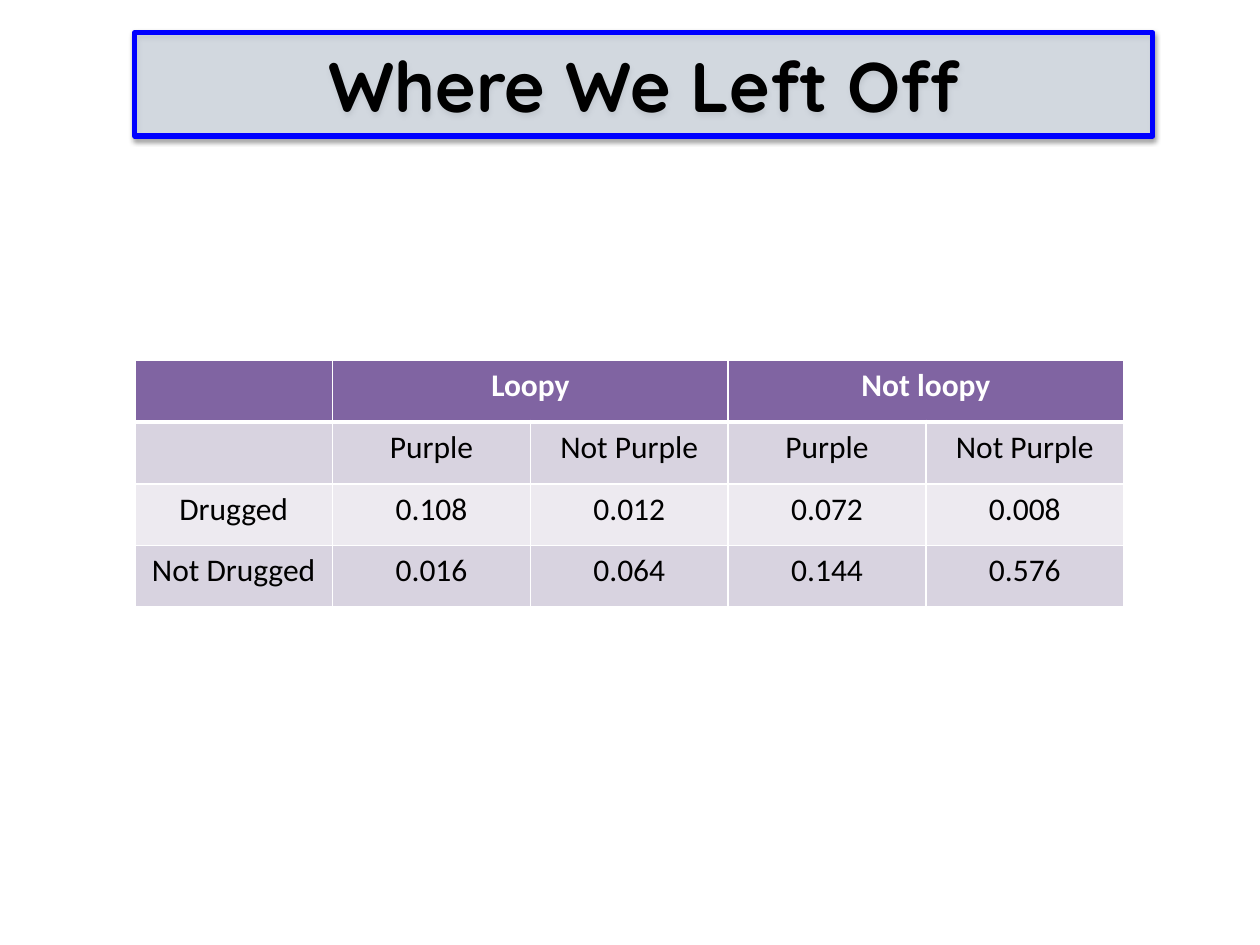
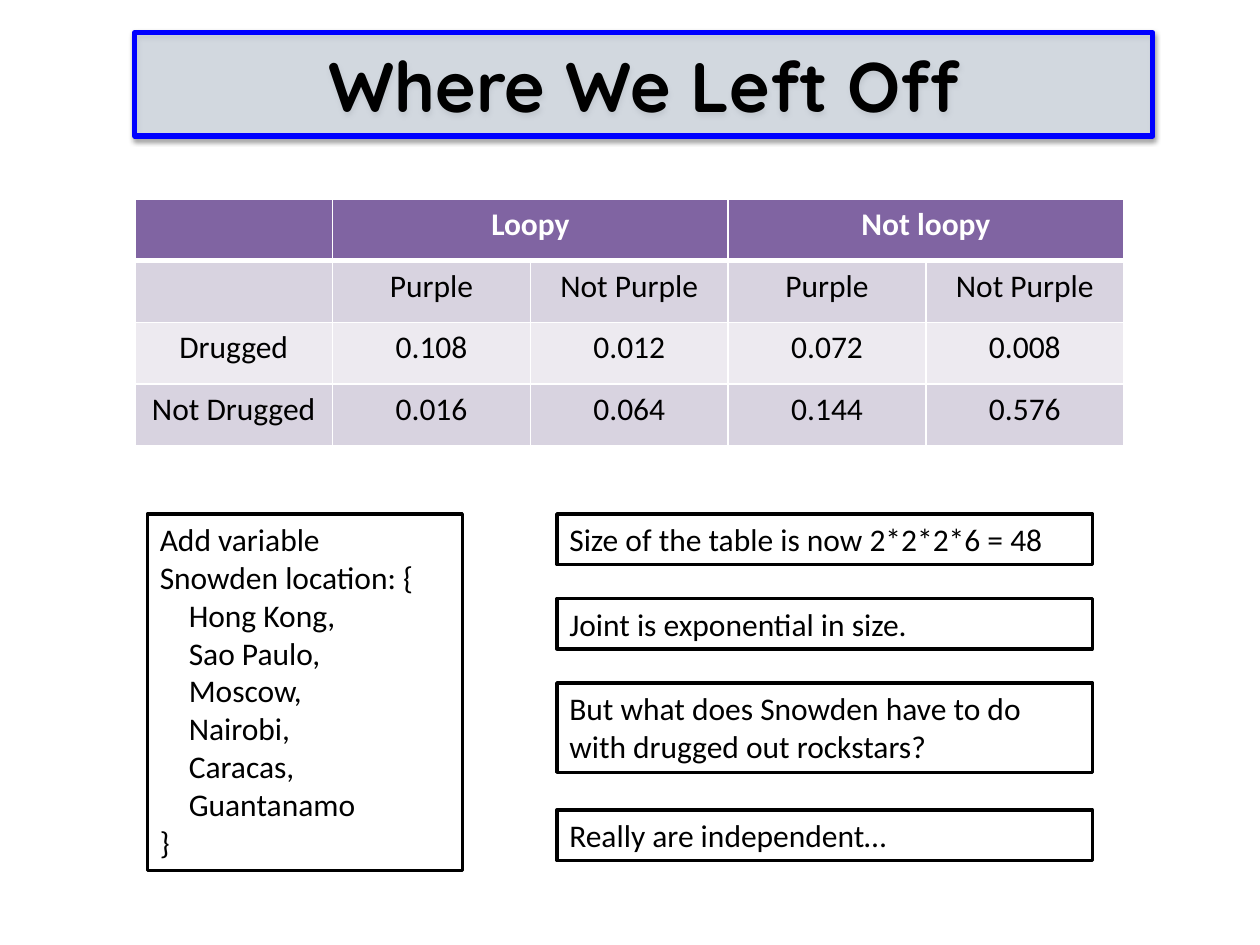
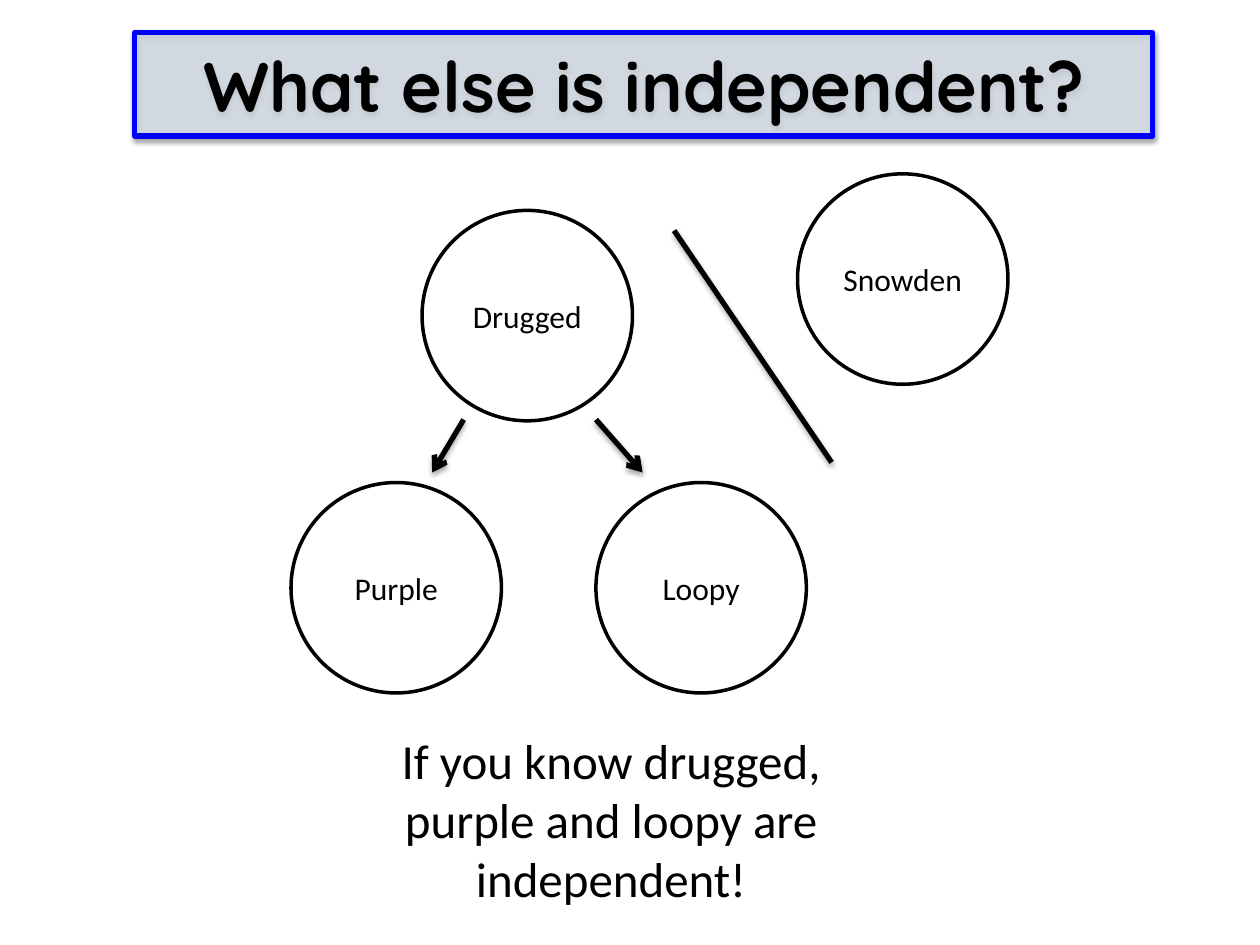
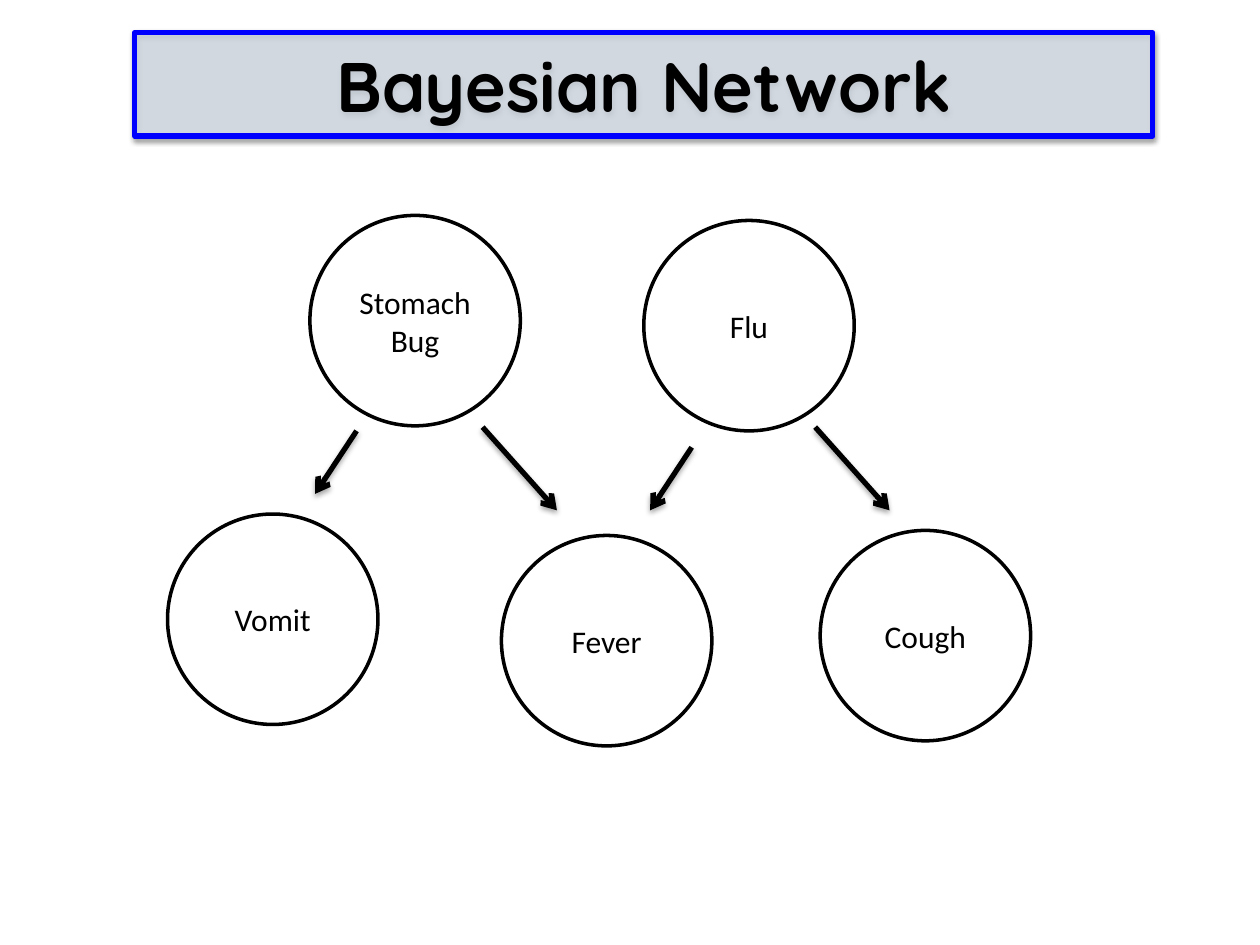
"""Builds four slides that lead from a joint probability table to Bayesian networks."""
from collections.abc import Sequence
from dataclasses import dataclass
from typing import Any, NamedTuple

from lxml.etree import SubElement
from pptx import Presentation
from pptx.dml.color import RGBColor
from pptx.enum.shapes import MSO_CONNECTOR as Connector, MSO_SHAPE as Preset
from pptx.enum.text import MSO_ANCHOR as Anchor, MSO_AUTO_SIZE as AutoSize, PP_ALIGN as Align
from pptx.oxml.ns import qn
from pptx.slide import Slide
from pptx.util import Inches, Pt


@dataclass(frozen=True)
class Theme:
    black: str = "000000"
    white: str = "FFFFFF"
    band_fill: str = "DCE6F2"
    band_line: str = "0000FF"
    header_fill: str = "8064A2"
    row_fills: tuple[str, str] = ("D8D3E0", "EDEAF0")
    title_font: str = "Quicksand"
    body_font: str = "Calibri"
    title_size: int = 40
    statement_size: int = 28
    body_size: int = 18
    heavy_line: float = 3
    outline: float = 2


class Node(NamedTuple):
    label: str
    left: float
    top: float


class Edge(NamedTuple):
    start: tuple[float, float]
    end: tuple[float, float]
    arrow: bool = True


class Note(NamedTuple):
    lines: Sequence[str]
    left: float
    top: float
    width: float
    height: float
    indented: range = range(0)


THEME = Theme()
NODE_SIZE = 1.67
COLUMN_WIDTH, ROW_HEIGHT = 1.57, 0.49
TABLE_LEFT = 1.07
LINE_INDENT = 0.23

JOINT_TABLE = [
    ["", "Loopy", "", "Not loopy", ""],
    ["", *["Purple", "Not Purple"] * 2],
    ["Drugged", "0.108", "0.012", "0.072", "0.008"],
    ["Not Drugged", "0.016", "0.064", "0.144", "0.576"],
]

LOCATION_LINES = [
    "Add variable", "Snowden location: {", "Hong Kong,", "Sao Paulo,", "Moscow,",
    "Nairobi,", "Caracas,", "Guantanamo", "}",
]
NOTES = [
    Note(LOCATION_LINES, 1.17, 4.08, 2.5, 2.83, range(2, 8)),
    Note(["Size of the table is now 2*2*2*6 = 48"], 4.42, 4.08, 4.25, 0.4),
    Note(["Joint is exponential in size."], 4.42, 4.75, 4.25, 0.4),
    Note(["But what does Snowden have to do with drugged out rockstars?"], 4.42, 5.42, 4.25, 0.71),
    Note(["Really are independent…"], 4.42, 6.43, 4.25, 0.4),
]
STATEMENT = Note(["If you know drugged, purple and loopy are independent!"], 2.76, 5.75, 4.18, 1.51)

INDEPENDENCE_NODES = [
    Node("Snowden", 6.33, 1.38), Node("Drugged", 3.35, 1.67),
    Node("Purple", 2.31, 3.83), Node("Loopy", 4.73, 3.83),
]
INDEPENDENCE_EDGES = [
    Edge((5.35, 1.83), (6.6, 3.67), arrow=False),
    Edge((3.68, 3.33), (3.43, 3.75)),
    Edge((4.73, 3.33), (5.1, 3.75)),
]
NETWORK_NODES = [
    Node("Stomach Bug", 2.46, 1.71), Node("Flu", 5.11, 1.75),
    Node("Vomit", 1.33, 4.08), Node("Fever", 3.98, 4.25), Node("Cough", 6.51, 4.21),
]
NETWORK_EDGES = [
    Edge((2.83, 3.42), (2.5, 3.92)), Edge((5.49, 3.55), (5.16, 4.05)),
    Edge((3.83, 3.39), (4.42, 4.05)), Edge((6.47, 3.39), (7.06, 4.05)),
]


def apply_format(target: Any, values: dict[str, Any]) -> None:
    for name, value in values.items():
        setattr(target, name, value)


def write_lines(frame: Any, lines: Sequence[str], align: Align = Align.LEFT, size: int = THEME.body_size,
                font: str = THEME.body_font, color: str = THEME.black, bold: bool = False) -> None:
    for index, line in enumerate(lines):
        para = frame.paragraphs[0] if index == 0 else frame.add_paragraph()
        para.alignment = align
        span = para.add_run()
        span.text = line
        apply_format(span.font, {"size": Pt(size), "name": font, "bold": bold})
        span.font.color.rgb = RGBColor.from_string(color)


def paint(target: Any, color: str) -> None:
    target.fill.solid()
    target.fill.fore_color.rgb = RGBColor.from_string(color)


def stroke(shape: Any, color: str, width: float) -> None:
    shape.line.color.rgb = RGBColor.from_string(color)
    shape.line.width = Pt(width)


def set_alpha(color: Any, percent: int) -> None:
    SubElement(color, qn("a:alpha"), val=str(percent * 1000))


def cast_shadow(shape: Any, opacity: int, distance: float) -> None:
    effects = SubElement(shape.element.spPr, qn("a:effectLst"))
    shadow = SubElement(effects, qn("a:outerShdw"), blurRad=str(Pt(3.1)), dist=str(Pt(distance)),
                        dir="5400000", rotWithShape="0")
    set_alpha(SubElement(shadow, qn("a:srgbClr"), val=THEME.black), opacity)


def add_title(page: Slide, title: str) -> None:
    band = page.shapes.add_shape(Preset.RECTANGLE, Inches(1.07), Inches(0.26), Inches(8.08), Inches(0.82))
    paint(band, THEME.band_fill)
    set_alpha(band.element.spPr.find(qn("a:solidFill")).find(qn("a:srgbClr")), 60)
    stroke(band, THEME.band_line, THEME.heavy_line)
    cast_shadow(band, 38, 1.6)
    band.text_frame.vertical_anchor = Anchor.MIDDLE
    write_lines(band.text_frame, [title], Align.CENTER, THEME.title_size, THEME.title_font, bold=True)


def border_cell(cell: Any, bottom: float) -> None:
    properties = cell._tc.get_or_add_tcPr()
    for side, width in {"lnL": 1, "lnR": 1, "lnT": 1, "lnB": bottom}.items():
        edge = SubElement(properties, qn(f"a:{side}"), w=str(Pt(width)))
        SubElement(SubElement(edge, qn("a:solidFill")), qn("a:srgbClr"), val=THEME.white)


def add_joint_table(page: Slide, top: float) -> None:
    rows, columns = len(JOINT_TABLE), len(JOINT_TABLE[0])
    table = page.shapes.add_table(rows, columns, Inches(TABLE_LEFT), Inches(top),
                                  Inches(columns * COLUMN_WIDTH), Inches(rows * ROW_HEIGHT)).table
    for column in table.columns:
        column.width = Inches(COLUMN_WIDTH)
    for index, texts in enumerate(JOINT_TABLE):
        table.rows[index].height = Inches(ROW_HEIGHT)
        header = index == 0
        for position, text in enumerate(texts):
            cell = table.cell(index, position)
            border_cell(cell, THEME.heavy_line if header else 1)
            paint(cell, THEME.header_fill if header else THEME.row_fills[(index - 1) % 2])
            if text:
                write_lines(cell.text_frame, [text], Align.CENTER,
                            color=THEME.white if header else THEME.black, bold=header)
    for start in (1, 3):
        table.cell(0, start).merge(table.cell(0, start + 1))


def add_note(page: Slide, note: Note, align: Align = Align.LEFT, size: int = THEME.body_size,
             outlined: bool = True) -> None:
    box = page.shapes.add_textbox(*map(Inches, (note.left, note.top, note.width, note.height)))
    paint(box, THEME.white)
    if outlined:
        stroke(box, THEME.black, THEME.outline)
    apply_format(box.text_frame, {"word_wrap": True, "auto_size": AutoSize.SHAPE_TO_FIT_TEXT})
    write_lines(box.text_frame, note.lines, align, size)
    for index in note.indented:
        box.text_frame.paragraphs[index]._p.get_or_add_pPr().set("marL", str(Inches(LINE_INDENT)))


def add_node(page: Slide, node: Node) -> None:
    circle = page.shapes.add_shape(Preset.OVAL, *map(Inches, (node.left, node.top, NODE_SIZE, NODE_SIZE)))
    paint(circle, THEME.white)
    stroke(circle, THEME.black, THEME.outline)
    circle.shadow.inherit = False
    circle.text_frame.vertical_anchor = Anchor.MIDDLE
    write_lines(circle.text_frame, [node.label], Align.CENTER)


def add_edge(page: Slide, edge: Edge) -> None:
    line = page.shapes.add_connector(Connector.STRAIGHT, *map(Inches, (*edge.start, *edge.end)))
    stroke(line, THEME.black, THEME.heavy_line)
    if edge.arrow:
        SubElement(line.element.spPr.find(qn("a:ln")), qn("a:tailEnd"), type="arrow")
    cast_shadow(line, 35, 1.8)


def add_graph(page: Slide, nodes: Sequence[Node], edges: Sequence[Edge]) -> None:
    for node in nodes:
        add_node(page, node)
    for edge in edges:
        add_edge(page, edge)


def main() -> None:
    deck = Presentation()
    apply_format(deck, {"slide_width": Inches(10), "slide_height": Inches(7.5)})
    titles = ["Where We Left Off", "Where We Left Off", "What else is independent?", "Bayesian Network"]
    pages = [deck.slides.add_slide(deck.slide_layouts[6]) for _ in titles]
    for page, title in zip(pages, titles):
        add_title(page, title)
    recap, growth, independence, network = pages

    add_joint_table(recap, 2.86)

    add_joint_table(growth, 1.58)
    for note in NOTES:
        add_note(growth, note)

    add_graph(independence, INDEPENDENCE_NODES, INDEPENDENCE_EDGES)
    add_note(independence, STATEMENT, Align.CENTER, THEME.statement_size, outlined=False)

    add_graph(network, NETWORK_NODES, NETWORK_EDGES)
    deck.save("out.pptx")


if __name__ == "__main__":
    main()
